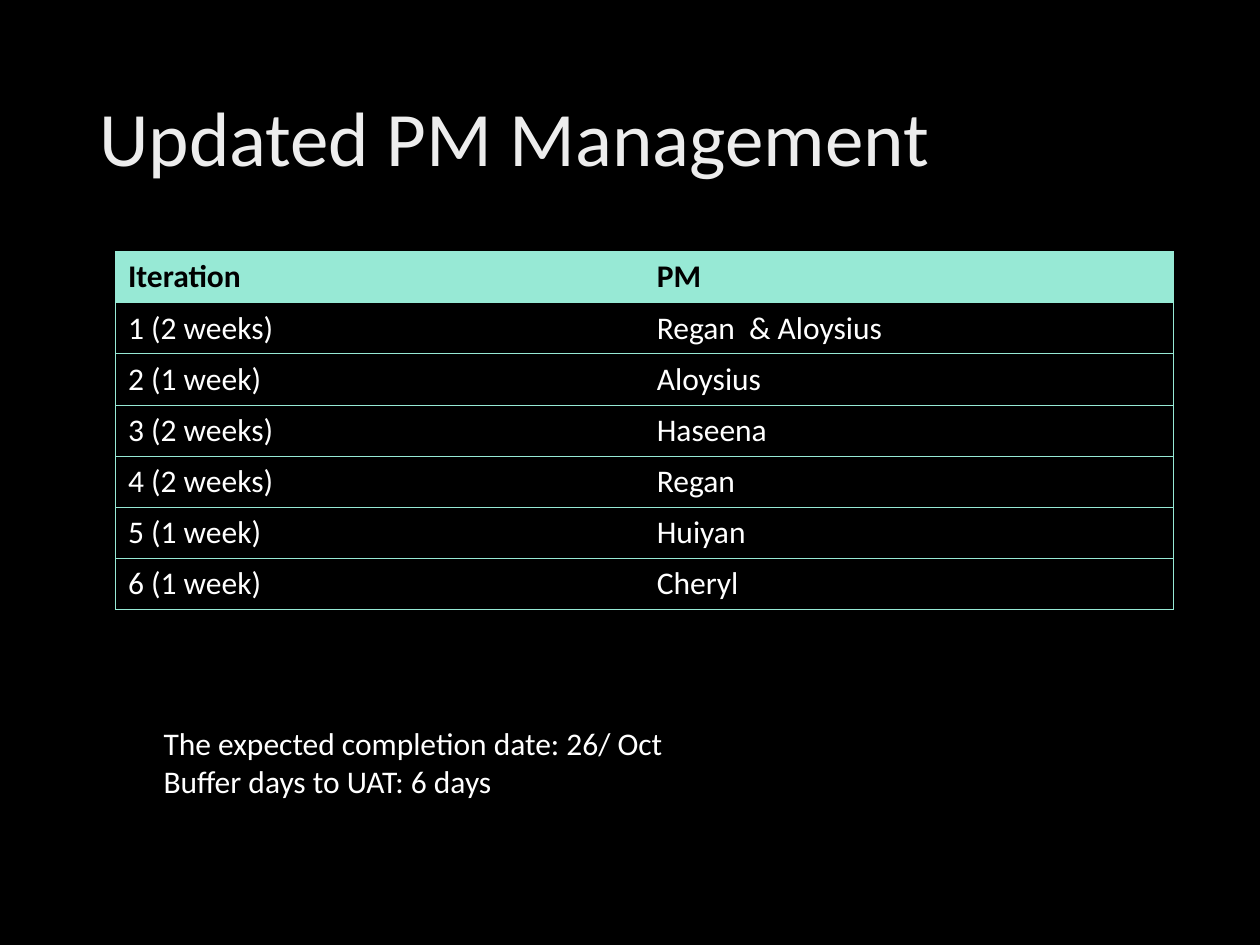
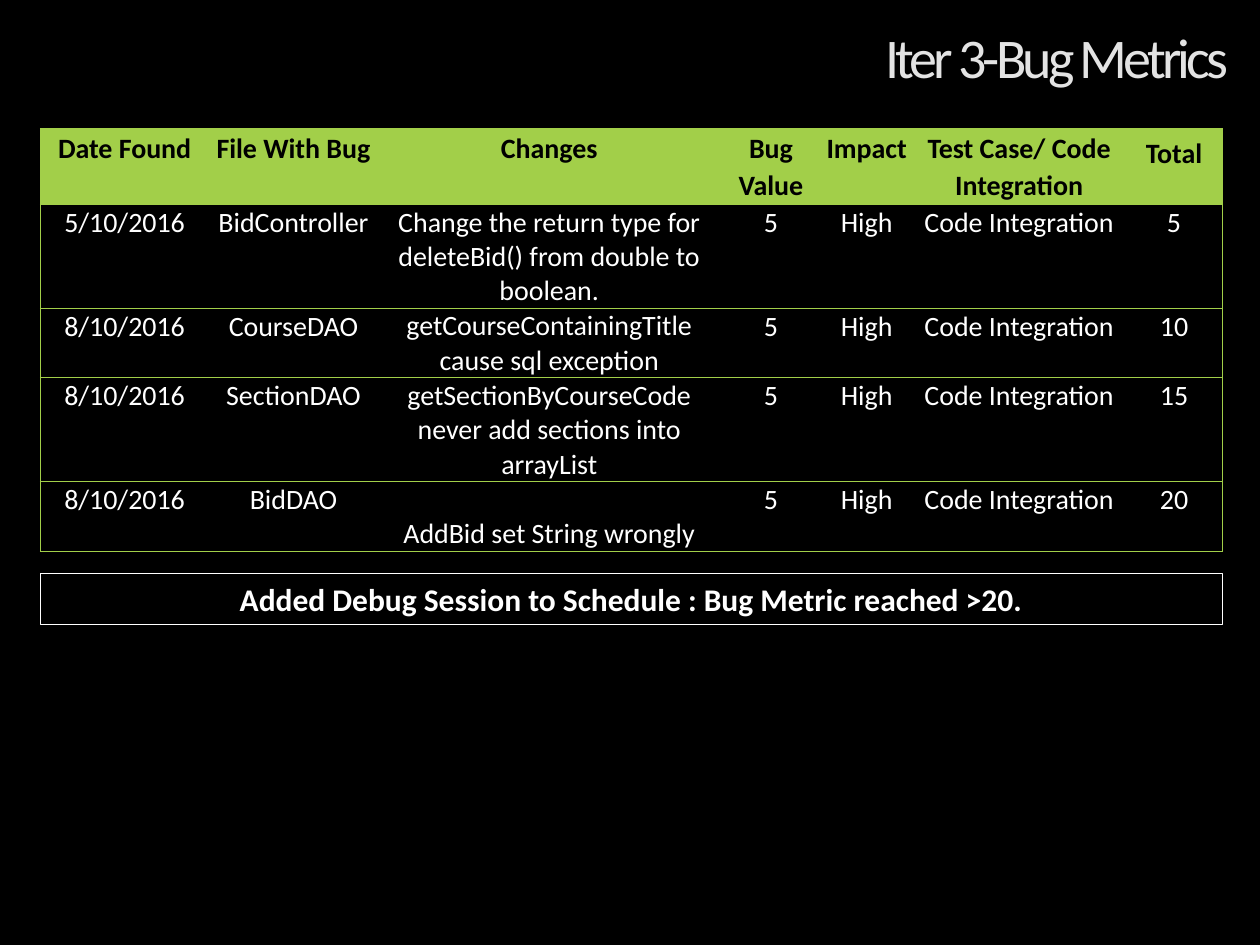
from dataclasses import dataclass

from lxml.etree import SubElement
from pptx import Presentation
from pptx.dml.color import RGBColor
from pptx.enum.shapes import MSO_SHAPE
from pptx.enum.text import MSO_ANCHOR, PP_ALIGN
from pptx.oxml.ns import qn
from pptx.slide import Slide
from pptx.util import Pt

COLORS = {
    "background": "000000",
    "header_text": "000000",
    "text": "FFFFFF",
    "plan_title": "EDEDED",
    "bugs_title": "E3E3E3",
    "mint": "97E9D5",
    "lime": "A2CF49",
}
FONT = "Calibri"
WIDE_INSETS = (7.2, 3.6, 7.2, 3.6)
TIGHT_INSETS = (0.72, 0.72, 0.72, 0)
SIDES = ("left", "top", "right", "bottom")


@dataclass(frozen=True)
class Box:
    left: float
    top: float
    width: float
    height: float

    def lengths(self) -> tuple:
        return tuple(Pt(v) for v in (self.left, self.top, self.width, self.height))


@dataclass(frozen=True)
class TextStyle:
    size: float
    color: str
    bold: bool = False
    align: PP_ALIGN = PP_ALIGN.LEFT
    line_spacing: float = 1.0
    tracking: float = 0


@dataclass(frozen=True)
class Column:
    heading: str
    width: float
    insets: tuple = WIDE_INSETS
    heading_insets: tuple = WIDE_INSETS
    anchor: MSO_ANCHOR = MSO_ANCHOR.TOP


@dataclass(frozen=True)
class Grid:
    left: float
    top: float
    columns: list[Column]
    row_heights: list[float]
    rows: list[tuple]
    accent: str
    heading_style: TextStyle
    body_style: TextStyle


def rgb(name: str) -> RGBColor:
    return RGBColor.from_string(COLORS[name])


def set_all(target, values: dict) -> None:
    for key, value in values.items():
        setattr(target, key, value)


def write(frame, lines: list[str], style: TextStyle) -> None:
    """Fill a text frame with one paragraph for each line."""
    for index, line in enumerate(lines):
        paragraph = frame.add_paragraph() if index else frame.paragraphs[0]
        set_all(paragraph, {"alignment": style.align,
                            "line_spacing": style.line_spacing})
        run = paragraph.add_run()
        run.text = line
        set_all(run.font, {"name": FONT, "size": Pt(style.size), "bold": style.bold})
        run.font.color.rgb = rgb(style.color)
        if style.tracking:
            run.font._element.set("spc", str(round(style.tracking * 100)))


def add_text(slide: Slide, box: Box, lines: list[str], style: TextStyle,
             anchor: MSO_ANCHOR = MSO_ANCHOR.TOP) -> None:
    frame = slide.shapes.add_textbox(*box.lengths()).text_frame
    set_all(frame, {"word_wrap": True, "vertical_anchor": anchor})
    write(frame, lines, style)


def add_frame(slide: Slide, box: Box, line: str, style: TextStyle) -> None:
    """Outlined strip with one line of text."""
    strip = slide.shapes.add_shape(MSO_SHAPE.RECTANGLE, *box.lengths())
    strip.shadow.inherit = False
    strip.fill.background()
    strip.line.color.rgb = rgb(style.color)
    strip.line.width = Pt(0.75)
    set_all(strip.text_frame, {"word_wrap": True, "vertical_anchor": MSO_ANCHOR.TOP})
    write(strip.text_frame, [line], style)


def set_borders(cell, accent: str, drawn: dict[str, bool]) -> None:
    """Draw the chosen sides; call before the fill is set."""
    properties = cell._tc.get_or_add_tcPr()
    for side, visible in drawn.items():
        edge = SubElement(properties, qn(f"a:ln{side}"), w=str(Pt(0.5)))
        if visible:
            fill = SubElement(edge, qn("a:solidFill"))
            SubElement(fill, qn("a:srgbClr"), val=COLORS[accent])
        else:
            SubElement(edge, qn("a:noFill"))


def add_grid(slide: Slide, grid: Grid) -> None:
    """Table with an accent heading row and ruled body rows."""
    contents = [tuple(column.heading for column in grid.columns), *grid.rows]
    box = Box(grid.left, grid.top, sum(column.width for column in grid.columns),
              sum(grid.row_heights))
    table = slide.shapes.add_table(len(contents), len(grid.columns),
                                   *box.lengths()).table
    table.horz_banding = False
    for column, table_column in zip(grid.columns, table.columns):
        table_column.width = Pt(column.width)
    for row, (height, texts) in enumerate(zip(grid.row_heights, contents)):
        table.rows[row].height = Pt(height)
        for index, (column, text) in enumerate(zip(grid.columns, texts)):
            cell = table.cell(row, index)
            heading = row == 0
            insets = column.heading_insets if heading else column.insets
            set_all(cell, {f"margin_{side}": Pt(inset)
                           for side, inset in zip(SIDES, insets)})
            cell.vertical_anchor = MSO_ANCHOR.TOP if heading else column.anchor
            set_borders(cell, grid.accent, {
                "L": index == 0, "R": index == len(texts) - 1, "T": True, "B": True})
            if heading:
                cell.fill.solid()
                cell.fill.fore_color.rgb = rgb(grid.accent)
            else:
                cell.fill.background()
            write(cell.text_frame, [text],
                  grid.heading_style if heading else grid.body_style)


def add_slide(deck, title: str, box: Box, style: TextStyle) -> Slide:
    """Blank dark slide with its title."""
    slide = deck.slides.add_slide(deck.slide_layouts[6])
    slide.background.fill.solid()
    slide.background.fill.fore_color.rgb = rgb("background")
    add_text(slide, box, [title], style, MSO_ANCHOR.MIDDLE)
    return slide


def build_pm_plan(deck) -> None:
    slide = add_slide(deck, "Updated PM Management", Box(49.7, 28.8, 620.6, 104.4),
                      TextStyle(44, "plan_title", line_spacing=0.9))
    iterations = [
        ("1 (2 weeks)", "Regan  & Aloysius"),
        ("2 (1 week)", "Aloysius"),
        ("3 (2 weeks)", "Haseena"),
        ("4 (2 weeks)", "Regan"),
        ("5 (1 week)", "Huiyan"),
        ("6 (1 week)", "Cheryl"),
    ]
    add_grid(slide, Grid(
        66, 143.8, [Column("Iteration", 302.2), Column("PM", 302.2)],
        [29.2] * (len(iterations) + 1), iterations, "mint",
        TextStyle(18, "header_text", bold=True), TextStyle(18, "text")))
    add_text(slide, Box(86.4, 410.4, 391, 72.7),
             ["The expected completion date: 26/ Oct", "Buffer days to UAT: 6 days"],
             TextStyle(18, "text"))


def build_bug_metrics(deck) -> None:
    slide = add_slide(deck, "Iter 3-Bug Metrics", Box(88.6, -18, 620.6, 104.4),
                      TextStyle(32, "bugs_title", align=PP_ALIGN.RIGHT,
                                line_spacing=0.9, tracking=-2.2))
    tight = {"insets": TIGHT_INSETS, "heading_insets": TIGHT_INSETS}
    columns = [
        Column("Date Found", 96.5, **tight),
        Column("File With Bug", 96.5, **tight),
        Column("Changes", 195.8, anchor=MSO_ANCHOR.BOTTOM, **tight),
        Column("Bug Value", 57.6, **tight),
        Column("Impact", 51.8, **tight),
        Column("Test Case/ Code Integration", 122.4, **tight),
        Column("Total", 54.7, insets=TIGHT_INSETS),
    ]
    bug_value = 5
    bugs = [
        ("5/10/2016", "BidController",
         "Change the return type for deleteBid() from double to boolean."),
        ("8/10/2016", "CourseDAO", "getCourseContainingTitle cause sql exception"),
        ("8/10/2016", "SectionDAO",
         "getSectionByCourseCode never add sections into arrayList"),
        ("8/10/2016", "BidDAO", "AddBid set String wrongly"),
    ]
    rows = [(*bug, str(bug_value), "High", "Code Integration", str(bug_value * count))
            for count, bug in enumerate(bugs, start=1)]
    add_grid(slide, Grid(
        23, 73.4, columns, [43.4, 59.3, 39.8, 59.3, 39.8], rows, "lime",
        TextStyle(16, "header_text", bold=True, align=PP_ALIGN.CENTER,
                  line_spacing=1.07),
        TextStyle(16, "text", align=PP_ALIGN.CENTER)))
    add_frame(slide, Box(23, 327.6, 675.4, 29.1),
              "Added Debug Session to Schedule : Bug Metric reached >20.",
              TextStyle(18, "text", bold=True, align=PP_ALIGN.CENTER))


def main() -> None:
    deck = Presentation()
    set_all(deck, {"slide_width": Pt(720), "slide_height": Pt(540)})
    build_pm_plan(deck)
    build_bug_metrics(deck)
    deck.save("out.pptx")


if __name__ == "__main__":
    main()
